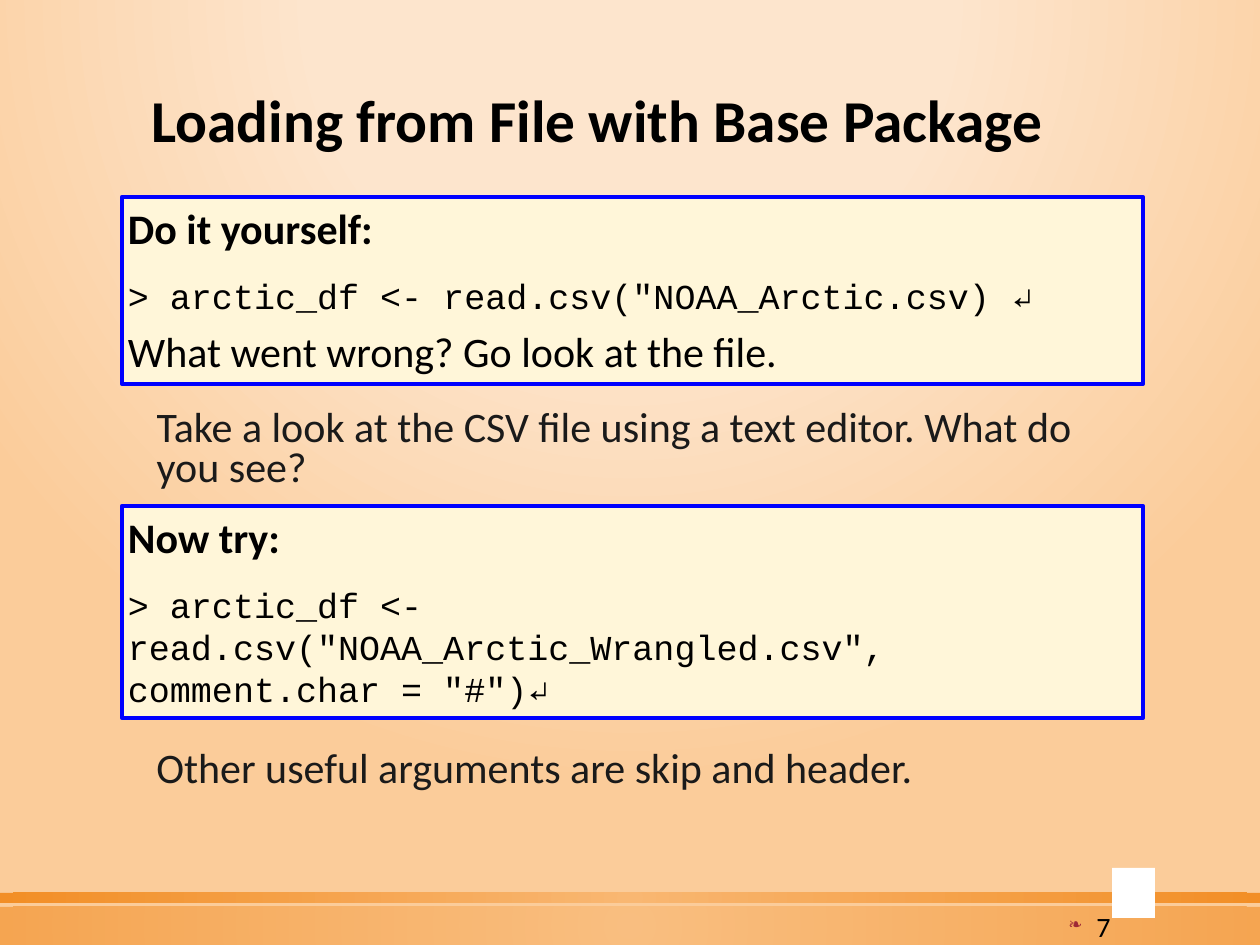
from dataclasses import dataclass

from lxml.etree import SubElement
from pptx import Presentation
from pptx.dml.color import RGBColor
from pptx.enum.shapes import MSO_SHAPE as Shape
from pptx.enum.text import MSO_ANCHOR as Anchor, MSO_AUTO_SIZE as AutoSize, PP_ALIGN as Align
from pptx.oxml.ns import qn
from pptx.util import Pt

EMU_PER_PX = 914400 / 126


def px(length):
    return round(length * EMU_PER_PX)


@dataclass(frozen=True)
class Theme:
    text_font: str = "Calibri"
    code_font: str = "Courier New"
    ink: str = "000000"
    soft_ink: str = "1A1A1A"
    white: str = "FFFFFF"
    panel: str = "FFF6D9"
    border: str = "0000FF"
    ornament: str = "9F2936"
    glow: str = "FDE5CD"
    edge: str = "FBCC9A"
    bar_center: str = "F9B268"
    bar_edge: str = "F07F09"
    title_size: float = 33.9
    text_size: int = 24
    code_size: int = 20
    number_size: int = 16
    border_width: float = 2.5


class SlideBuilder:
    def __init__(self, slide, theme):
        self.slide = slide
        self.theme = theme

    def radial(self, fill, element, stops, focus):
        """Fill with a circular gradient; stops are (position, colour, opacity) in percent."""
        fill.gradient()
        gradient = next(element.iter(qn("a:gradFill")))
        for child in list(gradient):
            gradient.remove(child)
        stop_list = SubElement(gradient, qn("a:gsLst"))
        for position, color, opacity in stops:
            stop = SubElement(stop_list, qn("a:gs"), pos=str(position * 1000))
            value = SubElement(stop, qn("a:srgbClr"), val=color)
            SubElement(value, qn("a:alpha"), val=str(opacity * 1000))
        circle = SubElement(gradient, qn("a:path"), path="circle")
        sides = {side: str(share * 1000) for side, share in zip("ltrb", focus)}
        SubElement(circle, qn("a:fillToRect"), **sides)

    def background(self):
        theme = self.theme
        stops = [(0, theme.glow, 59), (40, theme.glow, 66), (100, theme.edge, 100)]
        self.radial(self.slide.background.fill, self.slide.element, stops, (50, -80, 50, 180))

    def rectangle(self, box, color=None):
        shape = self.slide.shapes.add_shape(Shape.RECTANGLE, *map(px, box))
        shape.shadow.inherit = False
        shape.line.fill.background()
        if color:
            shape.fill.solid()
            shape.fill.fore_color.rgb = RGBColor.from_string(color)
        return shape

    def bar(self, box, opacity):
        shape = self.rectangle(box)
        stops = [(0, self.theme.bar_center, opacity), (100, self.theme.bar_edge, opacity)]
        self.radial(shape.fill, shape.element, stops, (50, 50, 50, 50))

    def set_text(self, paragraph, text, size, color=None, font=None, bold=False,
                 before=0, spacing=1.0, align=Align.LEFT):
        paragraph.text = text
        paragraph.alignment = align
        paragraph.space_before = Pt(before)
        paragraph.line_spacing = spacing
        paragraph.font.name = font or self.theme.text_font
        paragraph.font.size = Pt(size)
        paragraph.font.bold = bold
        paragraph.font.color.rgb = RGBColor.from_string(color or self.theme.ink)

    def place(self, shape, box, anchor=Anchor.TOP):
        shape.left, shape.top, shape.width, shape.height = map(px, box)
        frame = shape.text_frame
        frame.word_wrap = True
        frame.auto_size = AutoSize.NONE
        frame.vertical_anchor = anchor
        return frame.paragraphs[0]

    def title(self, box, text):
        paragraph = self.place(self.slide.shapes.title, box, Anchor.MIDDLE)
        self.set_text(paragraph, text, self.theme.title_size, bold=True, spacing=0.9)

    def note(self, box, text, spacing, shape=None):
        shape = shape or self.slide.shapes.add_textbox(*map(px, box))
        paragraph = self.place(shape, box)
        properties = paragraph._p.get_or_add_pPr()
        properties.set("marL", str(px(5)))
        properties.set("indent", "0")
        SubElement(properties, qn("a:buNone"))
        self.set_text(paragraph, text, self.theme.text_size, self.theme.soft_ink,
                      spacing=spacing)

    def panel(self, box, heading, code, question=None):
        theme = self.theme
        shape = self.rectangle(box, theme.panel)
        shape.line.color.rgb = RGBColor.from_string(theme.border)
        shape.line.width = Pt(theme.border_width)
        first = self.place(shape, box)
        frame = shape.text_frame
        frame.margin_left = frame.margin_right = px(6)
        frame.margin_top = frame.margin_bottom = px(6)
        self.set_text(first, heading, theme.text_size, bold=True)
        self.set_text(frame.add_paragraph(), code, theme.code_size,
                      font=theme.code_font, before=12)
        if question:
            self.set_text(frame.add_paragraph(), question, theme.text_size, before=5)

    def page_number(self, box, text):
        shape = self.slide.shapes.add_textbox(*map(px, box))
        paragraph = self.place(shape, box, Anchor.MIDDLE)
        properties = paragraph._p.get_or_add_pPr()
        color = SubElement(properties, qn("a:buClr"))
        SubElement(color, qn("a:srgbClr"), val=self.theme.ornament)
        SubElement(properties, qn("a:buSzPct"), val="60000")
        SubElement(properties, qn("a:buChar"), char="❧")
        self.set_text(paragraph, text, self.theme.number_size, align=Align.RIGHT)


def main():
    presentation = Presentation()
    presentation.slide_width, presentation.slide_height = px(1260), px(945)
    slide = presentation.slides.add_slide(presentation.slide_layouts[1])
    theme = Theme()
    builder = SlideBuilder(slide, theme)

    # Background and footer bars
    builder.background()
    builder.bar((0, 907, 1260, 38), 50)
    builder.bar((0, 893, 1260, 10), 80)
    builder.rectangle((1112, 868, 43, 50), theme.white)

    # Title and page number
    builder.title((139, 64, 983, 118), "Loading from File with Base Package")
    builder.page_number((1056, 910, 67, 33), "7")

    # Exercise panels
    builder.panel((122, 197, 1021, 187), "Do it yourself:",
                  '> arctic_df <- read.csv("NOAA_Arctic.csv) ↵',
                  "What went wrong? Go look at the file.")
    builder.panel((122, 506, 1021, 212), "Now try:",
                  '> arctic_df <- read.csv("NOAA_Arctic_Wrangled.csv", comment.char = "#")↵')

    # Remarks after each panel
    builder.note((139, 404, 983, 102),
                 "Take a look at the CSV file using a text editor. What do you see?",
                 0.8, slide.placeholders[1])
    builder.note((139, 741, 983, 102), "Other useful arguments are skip and header.", 0.9)

    presentation.save("out.pptx")


if __name__ == "__main__":
    main()
